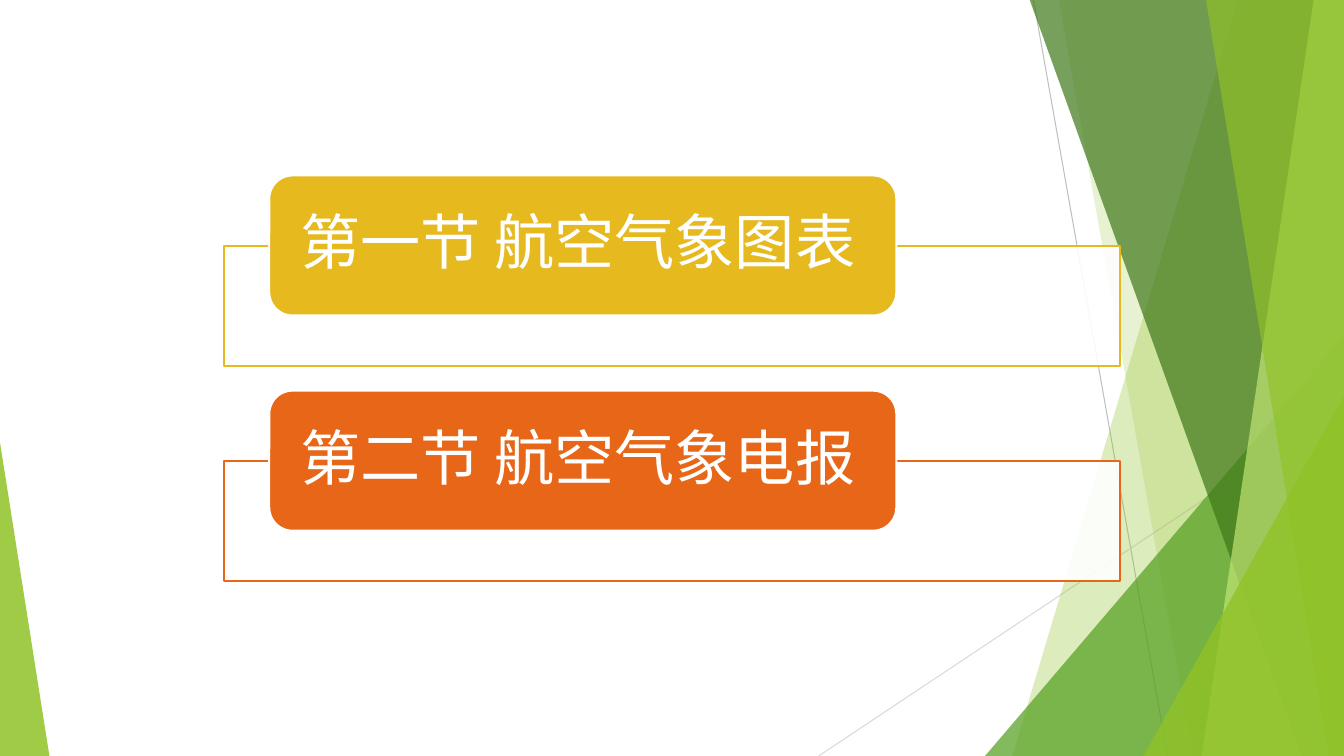
from lxml import etree
from pptx import Presentation
from pptx.dml.color import RGBColor
from pptx.enum.shapes import MSO_CONNECTOR, MSO_SHAPE as Shape
from pptx.enum.text import MSO_ANCHOR, PP_ALIGN
from pptx.oxml.ns import qn
from pptx.util import Inches, Pt

WHITE = RGBColor(0xFF, 0xFF, 0xFF)
GOLD = RGBColor(0xE6, 0xB9, 0x1E)
ORANGE = RGBColor(0xE7, 0x66, 0x18)
LIME = RGBColor(0x90, 0xC2, 0x26)
GREEN = RGBColor(0x54, 0xA0, 0x21)
FOREST = RGBColor(0x3F, 0x78, 0x19)
PALE_LIME = RGBColor(0xC0, 0xE4, 0x74)
GREY = RGBColor(0xBF, 0xBF, 0xBF)
LIGHT_GREY = RGBColor(0xD9, 0xD9, 0xD9)

WIDTH, HEIGHT = 13.33, 7.5
BAND_TOP = -0.01

SECTIONS = [("第一节 航空气象图表", GOLD), ("第二节 航空气象电报", ORANGE)]

# Start x, start y, end x, end y, colour
THIN_LINES = [
    (10.25, 0, 11.58, HEIGHT, GREY),
    (WIDTH, 4.03, 8.12, HEIGHT, LIGHT_GREY),
]

# Bands reach the right edge: top x, bottom x.
# Triangles stand on the bottom edge: left, top, width, apex position.
FACETS = [
    ("band", (12.28, 10.04), LIME, 30),
    ("band", (10.5, 11.83), LIME, 20),
    ("triangle", (9.77, 3.33, 3.56, 1), GREEN, 72),
    ("band", (10.21, 12.91), FOREST, 70),
    ("band", (13.03, 11.92), PALE_LIME, 70),
    ("band", (11.96, 13.18), LIME, 65),
    ("triangle", (11.34, 3.93, 1.99, 1), LIME, 80),
    ("triangle", (0, 4.39, 0.49, 0), LIME, 85),
]

FRAME_LEFT, FRAME_TOP, FRAME_WIDTH, FRAME_HEIGHT = 2.22, 2.44, 8.89, 1.19
TITLE_LEFT, TITLE_TOP, TITLE_WIDTH, TITLE_HEIGHT = 2.67, 1.74, 6.22, 1.39
SECTION_STEP = 2.135


def paint(shape, fill, opacity=100, line=None):
    shape.shadow.inherit = False
    shape.fill.solid()
    shape.fill.fore_color.rgb = fill
    if opacity < 100:
        color = shape._element.spPr.find(qn("a:solidFill"))[0]
        etree.SubElement(color, qn("a:alpha"), val=str(opacity * 1000))
    if line is None:
        shape.line.fill.background()
    else:
        shape.line.color.rgb = line
        shape.line.width = Pt(1.5)


def add_thin_line(shapes, x1, y1, x2, y2, color):
    line = shapes.add_connector(
        MSO_CONNECTOR.STRAIGHT, Inches(x1), Inches(y1), Inches(x2), Inches(y2))
    line.line.color.rgb = color
    line.line.width = Pt(0.75)
    etree.SubElement(line._element.spPr, qn("a:effectLst"))


def add_band(shapes, top_x, bottom_x):
    corners = [(top_x, BAND_TOP), (WIDTH, BAND_TOP), (WIDTH, HEIGHT), (bottom_x, HEIGHT)]
    points = [(Inches(x), Inches(y)) for x, y in corners]
    outline = shapes.build_freeform(*points[0])
    outline.add_line_segments(points[1:], close=True)
    return outline.convert_to_shape()


def add_triangle(shapes, left, top, width, apex):
    triangle = shapes.add_shape(Shape.ISOSCELES_TRIANGLE, Inches(left), Inches(top),
                                Inches(width), Inches(HEIGHT - top))
    triangle.adjustments[0] = apex
    return triangle


def add_section(shapes, title, color, offset):
    frame = shapes.add_shape(Shape.RECTANGLE, Inches(FRAME_LEFT), Inches(FRAME_TOP + offset),
                             Inches(FRAME_WIDTH), Inches(FRAME_HEIGHT))
    paint(frame, WHITE, 90, color)
    box = shapes.add_shape(Shape.ROUNDED_RECTANGLE, Inches(TITLE_LEFT),
                           Inches(TITLE_TOP + offset), Inches(TITLE_WIDTH),
                           Inches(TITLE_HEIGHT))
    paint(box, color, line=WHITE)
    text = box.text_frame
    text.word_wrap = True
    text.vertical_anchor = MSO_ANCHOR.MIDDLE
    # The rounded corners already inset the text area by about 0.07
    text.margin_left = text.margin_right = Inches(0.24)
    text.margin_top = text.margin_bottom = 0
    para = text.paragraphs[0]
    para.alignment = PP_ALIGN.LEFT
    para.line_spacing = 0.9
    span = para.add_run()
    span.text = title
    span.font.name = "Roboto"
    span.font.size = Pt(43)
    span.font.color.rgb = WHITE


def main():
    deck = Presentation()
    deck.slide_width, deck.slide_height = Inches(WIDTH), Inches(HEIGHT)
    page = deck.slides.add_slide(deck.slide_layouts[6])
    builders = {"band": add_band, "triangle": add_triangle}
    for line in THIN_LINES:
        add_thin_line(page.shapes, *line)
    for kind, geometry, color, opacity in FACETS:
        paint(builders[kind](page.shapes, *geometry), color, opacity)
    for index, (title, color) in enumerate(SECTIONS):
        add_section(page.shapes, title, color, index * SECTION_STEP)
    deck.save("out.pptx")


if __name__ == "__main__":
    main()
